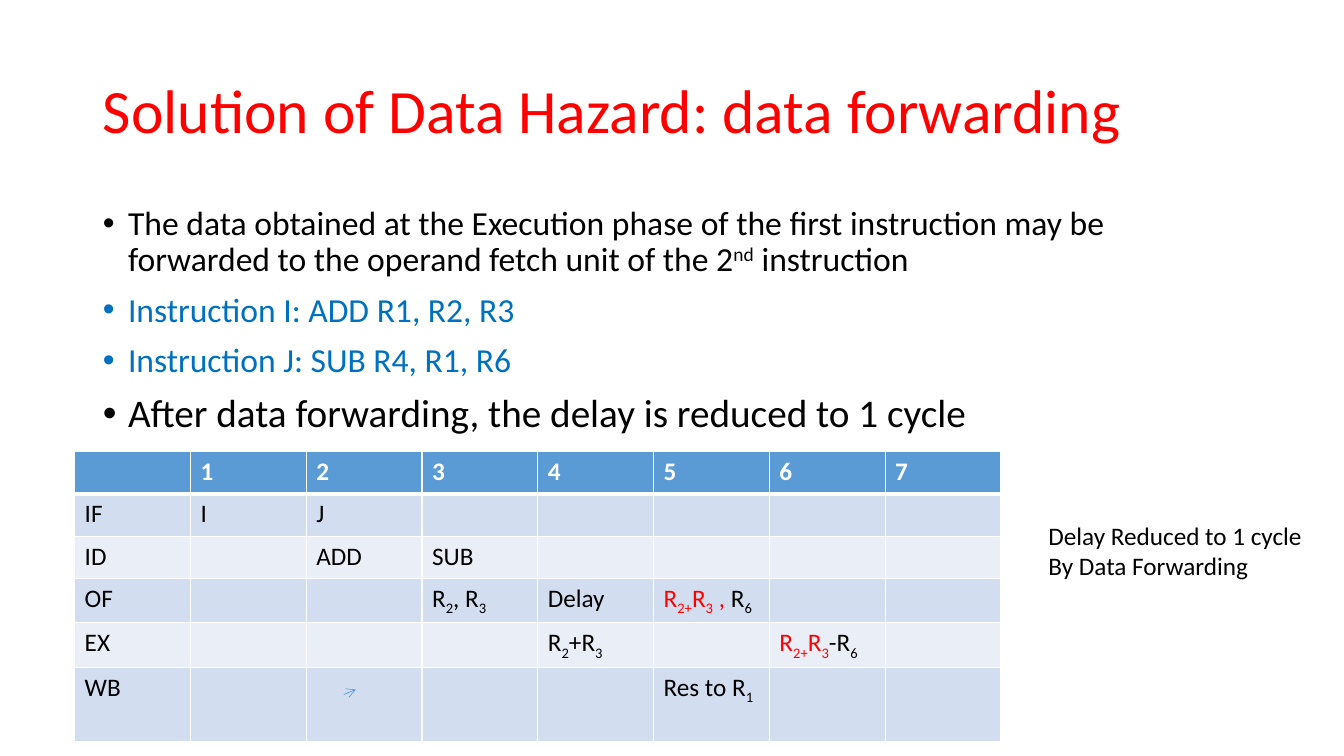
from lxml import etree
from pptx import Presentation
from pptx.dml.color import RGBColor
from pptx.enum.shapes import MSO_CONNECTOR
from pptx.enum.text import MSO_ANCHOR, MSO_AUTO_SIZE, PP_ALIGN
from pptx.oxml.ns import qn
from pptx.util import Inches, Pt

LEFT = PP_ALIGN.LEFT
MIDDLE, TOP = MSO_ANCHOR.MIDDLE, MSO_ANCHOR.TOP
NO_FIT = MSO_AUTO_SIZE.NONE
STRAIGHT = MSO_CONNECTOR.STRAIGHT

FONT = "Calibri"
COLOURS = {
    "black": "000000", "white": "FFFFFF", "red": "FF0000", "blue": "0070C0",
    "header": "5B9BD5", "band_dark": "D2DEEF", "band_light": "EAEFF7",
}
SUB, SUPER = -25000, 30000

# Each span is (text, baseline, colour); plain strings stand for black text
BULLETS = [
    ([("The data obtained at the Execution phase of the first instruction may be "
       "forwarded to the operand fetch unit of the 2", 0, "black"),
      ("nd", SUPER, "black"), (" instruction", 0, "black")], 24),
    ([("Instruction I: ADD R1, R2, R3", 0, "blue")], 24),
    ([("Instruction J: SUB R4, R1, R6", 0, "blue")], 24),
    ("After data forwarding, the delay is reduced to 1 cycle", 28),
]
FORWARDED = [("R", 0, "red"), ("2+", SUB, "red"), ("R", 0, "red"), ("3", SUB, "red")]
R6 = [("R", 0, "black"), ("6", SUB, "black")]


def register_pair(joiner):
    return [("R", 0, "black"), ("2", SUB, "black"),
            (joiner + "R", 0, "black"), ("3", SUB, "black")]


STAGES = [
    ["IF", "I", "J", "", "", "", "", ""],
    ["ID", "", "ADD", "SUB", "", "", "", ""],
    ["OF", "", "", register_pair(", "), "Delay",
     FORWARDED + [(" , ", 0, "red")] + R6, "", ""],
    ["EX", "", "", "", register_pair("+"), "",
     FORWARDED + [("-", 0, "black")] + R6, ""],
    ["WB", "", "", "", "", [("Res to R", 0, "black"), ("1", SUB, "black")], "", ""],
]
ROW_HEIGHTS = [0.42, 0.42, 0.42, 0.44, 0.44, 0.74]


def rgb(name):
    return RGBColor.from_string(COLOURS[name])


def place(shape, box):
    shape.left, shape.top, shape.width, shape.height = map(Inches, box)


def write(para, content, size, colour="black", bold=False):
    para.font.name, para.font.size, para.font.bold = FONT, Pt(size), bold
    para.alignment = LEFT
    spans = [(content, 0, colour)] if isinstance(content, str) else content
    for text, baseline, span_colour in spans:
        if not text:
            continue
        span = para.add_run()
        span.text = text
        span.font.color.rgb = rgb(span_colour)
        if baseline:
            span.font._element.set("baseline", str(baseline))


def add_title(page, box):
    title = page.shapes.title
    place(title, box)
    frame = title.text_frame
    frame.auto_size, frame.vertical_anchor = NO_FIT, MIDDLE
    write(frame.paragraphs[0], "Solution of Data Hazard: data forwarding", 44, "red")
    frame.paragraphs[0].line_spacing = 0.9


def add_bullets(page, box):
    body = page.placeholders[1]
    place(body, box)
    frame = body.text_frame
    frame.auto_size, frame.vertical_anchor = NO_FIT, TOP
    for index, (content, size) in enumerate(BULLETS):
        para = frame.add_paragraph() if index else frame.paragraphs[0]
        write(para, content, size)
        para.line_spacing, para.space_before = 0.9, Pt(10)
        properties = para._p.get_or_add_pPr()
        properties.set("marL", str(Inches(0.25)))
        properties.set("indent", str(Inches(-0.25)))


def add_borders(cell, bottom_width):
    properties = cell._tc.get_or_add_tcPr()
    for side, width in (("L", 1), ("R", 1), ("T", 1), ("B", bottom_width)):
        border = etree.SubElement(properties, qn("a:ln" + side), w=str(Pt(width)))
        fill = etree.SubElement(border, qn("a:solidFill"))
        etree.SubElement(fill, qn("a:srgbClr"), val=COLOURS["white"])


def add_pipeline_table(page, box):
    header = [""] + [str(cycle) for cycle in range(1, 8)]
    rows = [header] + STAGES
    table = page.shapes.add_table(len(rows), len(header), *map(Inches, box)).table
    for column in table.columns:
        column.width = Inches(box[2] / len(header))
    for r, (contents, height) in enumerate(zip(rows, ROW_HEIGHTS)):
        table.rows[r].height = Inches(height)
        is_header = r == 0
        band = "header" if is_header else "band_dark" if r % 2 else "band_light"
        for c, content in enumerate(contents):
            cell = table.cell(r, c)
            add_borders(cell, 3 if is_header else 1)
            cell.fill.solid()
            cell.fill.fore_color.rgb = rgb(band)
            write(cell.text_frame.paragraphs[0], content, 18,
                  "white" if is_header else "black", is_header)


def add_arrow(page, box):
    left, top, width, height = box
    arrow = page.shapes.add_connector(
        STRAIGHT, Inches(left), Inches(top + height), Inches(left + width), Inches(top))
    arrow.line.color.rgb = rgb("header")
    arrow.line.width = Pt(0.5)
    etree.SubElement(arrow.line._get_or_add_ln(), qn("a:tailEnd"), type="arrow")
    etree.SubElement(arrow._element.spPr, qn("a:effectLst"))


def add_remark(page, box):
    frame = page.shapes.add_textbox(*map(Inches, box)).text_frame
    frame.word_wrap = False
    write(frame.paragraphs[0], "Delay Reduced to 1 cycle", 18)
    write(frame.add_paragraph(), "By Data Forwarding", 18)


def main():
    deck = Presentation()
    deck.slide_width, deck.slide_height = Inches(13.33), Inches(7.5)
    page = deck.slides.add_slide(deck.slide_layouts[1])
    add_title(page, (0.92, 0.4, 11.5, 1.45))
    add_bullets(page, (0.92, 2, 11.5, 4.76))
    add_pipeline_table(page, (0.74, 4.48, 9.19, sum(ROW_HEIGHTS)))
    add_arrow(page, (3.41, 6.84, 0.12, 0.05))
    add_remark(page, (10.3, 5.11, 2.75, 0.71))
    deck.save("out.pptx")


if __name__ == "__main__":
    main()
